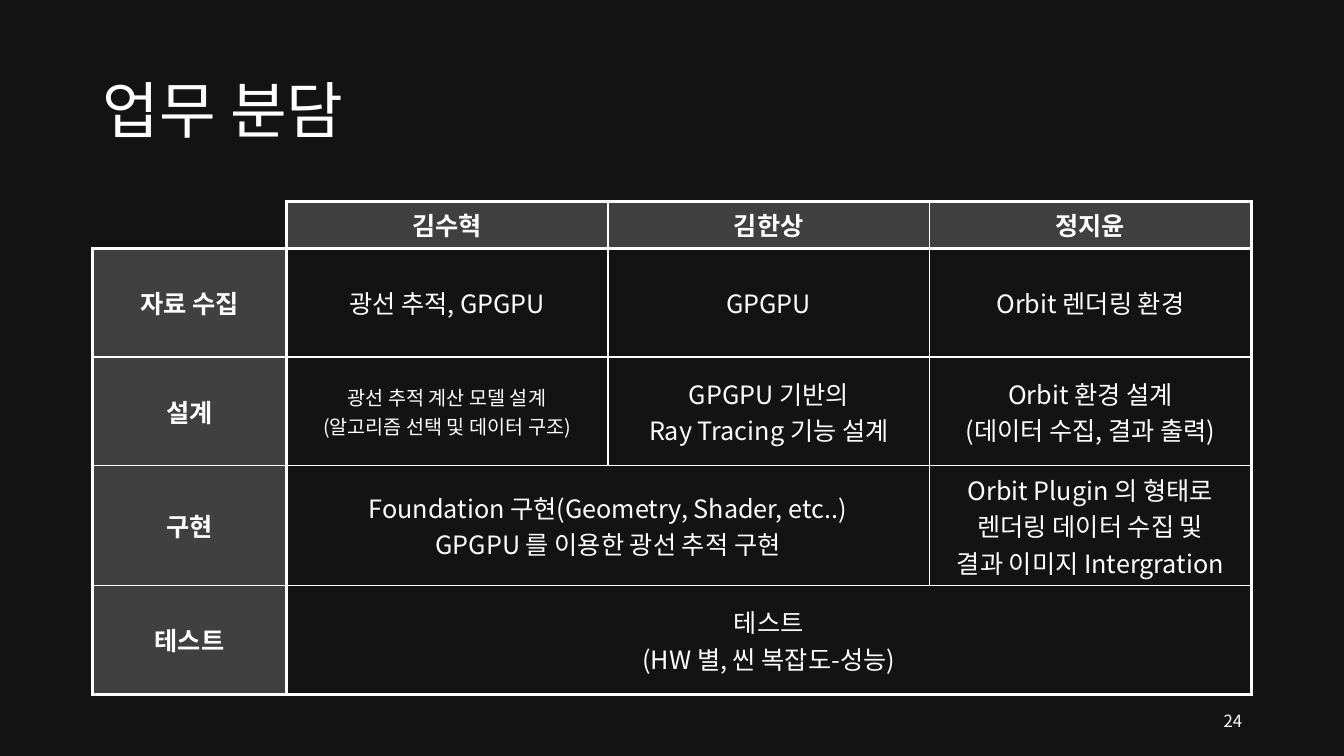
from dataclasses import dataclass

from lxml import etree
from pptx import Presentation
from pptx.dml.color import RGBColor
from pptx.enum.text import MSO_ANCHOR, PP_ALIGN
from pptx.oxml.ns import qn
from pptx.util import Inches, Pt

MIDDLE = MSO_ANCHOR.MIDDLE
LEFT, CENTER, RIGHT = PP_ALIGN.LEFT, PP_ALIGN.CENTER, PP_ALIGN.RIGHT


@dataclass(frozen=True)
class Theme:
    font: str = "Noto Sans CJK KR"
    back: str = "131313"
    head: str = "404040"
    ink: str = "FFFFFF"
    title: int = 44
    body: int = 18
    small: int = 14
    page: int = 12
    thick: float = 2.25
    thin: float = 1


theme = Theme()


def write(frame, text, size, align, bold=False):
    frame.text = text
    for para in frame.paragraphs:
        para.alignment = align
        for run in para.runs:
            font = run.font
            font.name, font.size, font.bold = theme.font, Pt(size), bold
            font.color.rgb = RGBColor.from_string(theme.ink)
            latin = run._r.rPr.find(qn("a:latin"))
            east = etree.Element(qn("a:ea"), typeface=theme.font)
            latin.addnext(east)


def border(cell, side, width):
    props = cell._tc.get_or_add_tcPr()
    line = etree.SubElement(props, qn("a:ln" + side), w=str(Pt(width)))
    if width:
        fill = etree.SubElement(line, qn("a:solidFill"))
        etree.SubElement(fill, qn("a:srgbClr"), val=theme.ink)
    else:
        etree.SubElement(line, qn("a:noFill"))


deck = Presentation()
deck.slide_width, deck.slide_height = Inches(13.33), Inches(7.5)
slide = deck.slides.add_slide(deck.slide_layouts[5])
ground = slide.background.fill
ground.solid()
ground.fore_color.rgb = RGBColor.from_string(theme.back)

title = slide.shapes.title
title.left, title.top = Inches(0.92), Inches(0.4)
title.width, title.height = Inches(11.5), Inches(1.45)
title.text_frame.vertical_anchor = MIDDLE
write(title.text_frame, "업무 분담", theme.title, LEFT)
title.text_frame.paragraphs[0].line_spacing = 0.9

rows = [
    ["", "김수혁", "김한상", "정지윤"],
    ["자료 수집", "광선 추적, GPGPU", "GPGPU", "Orbit 렌더링 환경"],
    ["설계", "광선 추적 계산 모델 설계\n(알고리즘 선택 및 데이터 구조)",
     "GPGPU 기반의\nRay Tracing 기능 설계",
     "Orbit 환경 설계\n(데이터 수집, 결과 출력)"],
    ["구현", "Foundation 구현(Geometry, Shader, etc..)\nGPGPU 를 이용한 광선 추적 구현",
     None, "Orbit Plugin 의 형태로\n렌더링 데이터 수집 및\n결과 이미지 Intergration"],
    ["테스트", "테스트\n(HW 별, 씬 복잡도-성능)", None, None],
]
last = len(rows) - 1
frame = slide.shapes.add_table(
    len(rows), 4, Inches(0.92), Inches(2), Inches(11.5), Inches(4.74))
table = frame.table
table.first_row = table.horz_banding = False
for col, width in zip(table.columns, [1.92, 3.19, 3.19, 3.19]):
    col.width = Inches(width)
for row, height in zip(table.rows, [0.41] + [1.08] * last):
    row.height = Inches(height)
table.cell(3, 1).merge(table.cell(3, 2))
table.cell(4, 1).merge(table.cell(4, 3))

for r, row in enumerate(rows):
    for c, text in enumerate(row):
        cell = table.cell(r, c)
        corner = r == c == 0
        end = c + cell.span_width - 1 if cell.is_merge_origin else c
        heavy = {"L": c < 2, "R": end in (0, 3), "T": r < 2, "B": r in (0, last)}
        for side, bold in heavy.items():
            hide = corner and side in "LT" or text is None and side == "L"
            border(cell, side, 0 if hide else theme.thick if bold else theme.thin)
        if corner:
            cell.fill.background()
            continue
        label = r == 0 or c == 0
        cell.fill.solid()
        cell.fill.fore_color.rgb = RGBColor.from_string(
            theme.head if label else theme.back)
        cell.vertical_anchor = MIDDLE
        if text:
            size = theme.small if (r, c) == (2, 1) else theme.body
            write(cell.text_frame, text, size, CENTER, label)

page = slide.shapes.add_textbox(Inches(9.42), Inches(6.95), Inches(3), Inches(0.4))
page.text_frame.word_wrap = True
page.text_frame.vertical_anchor = MIDDLE
write(page.text_frame, "24", theme.page, RIGHT)

deck.save("out.pptx")
